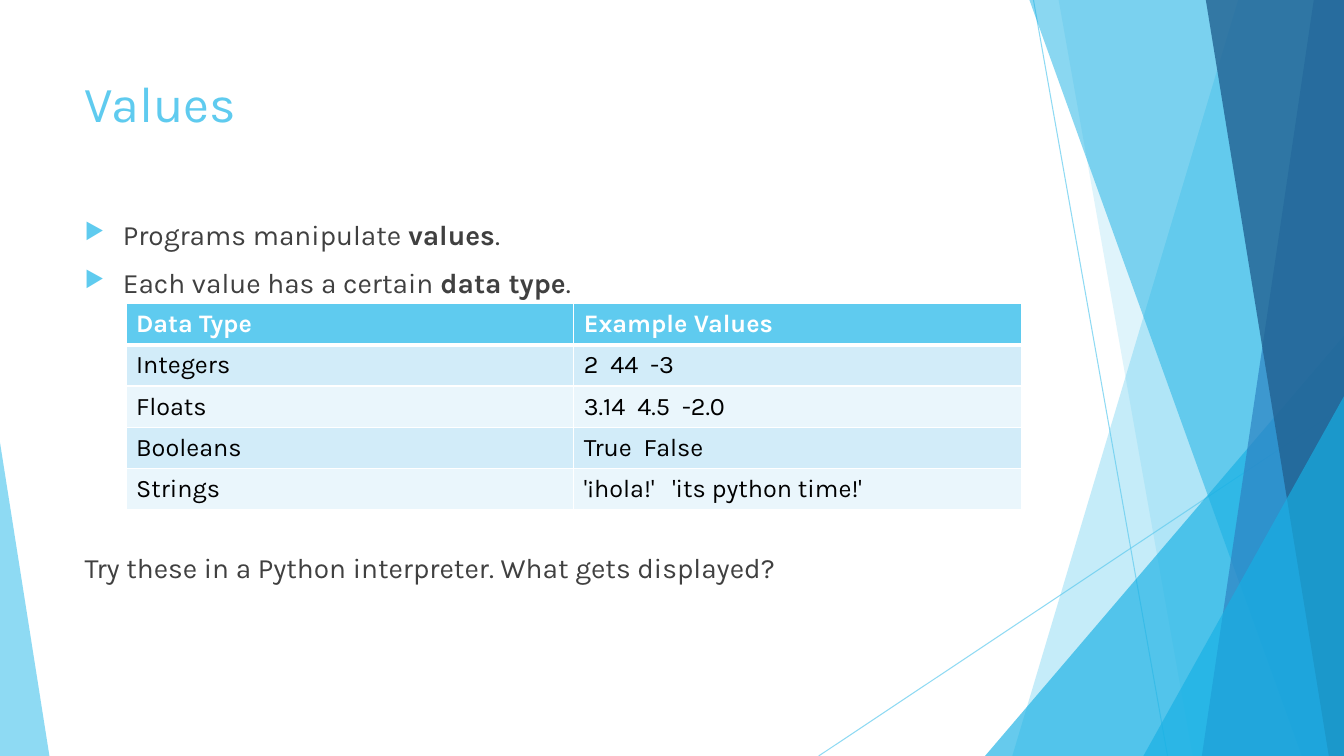
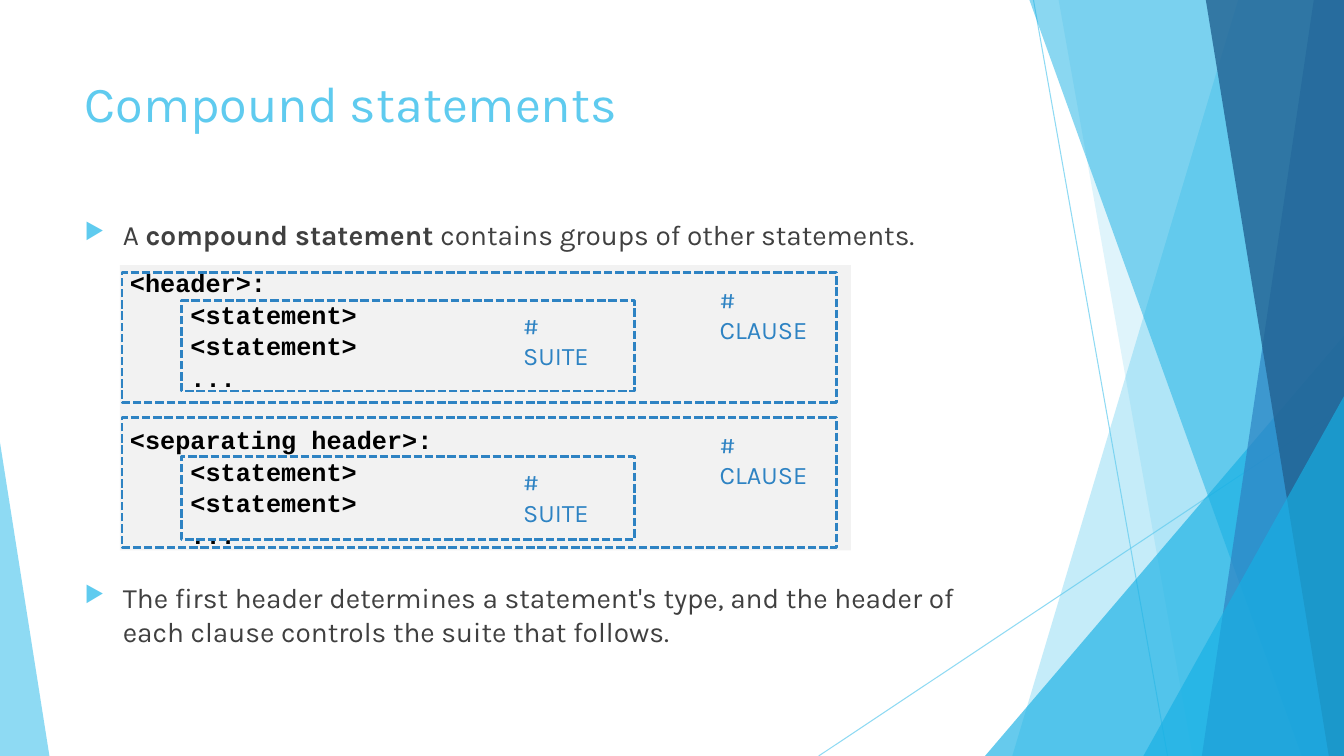
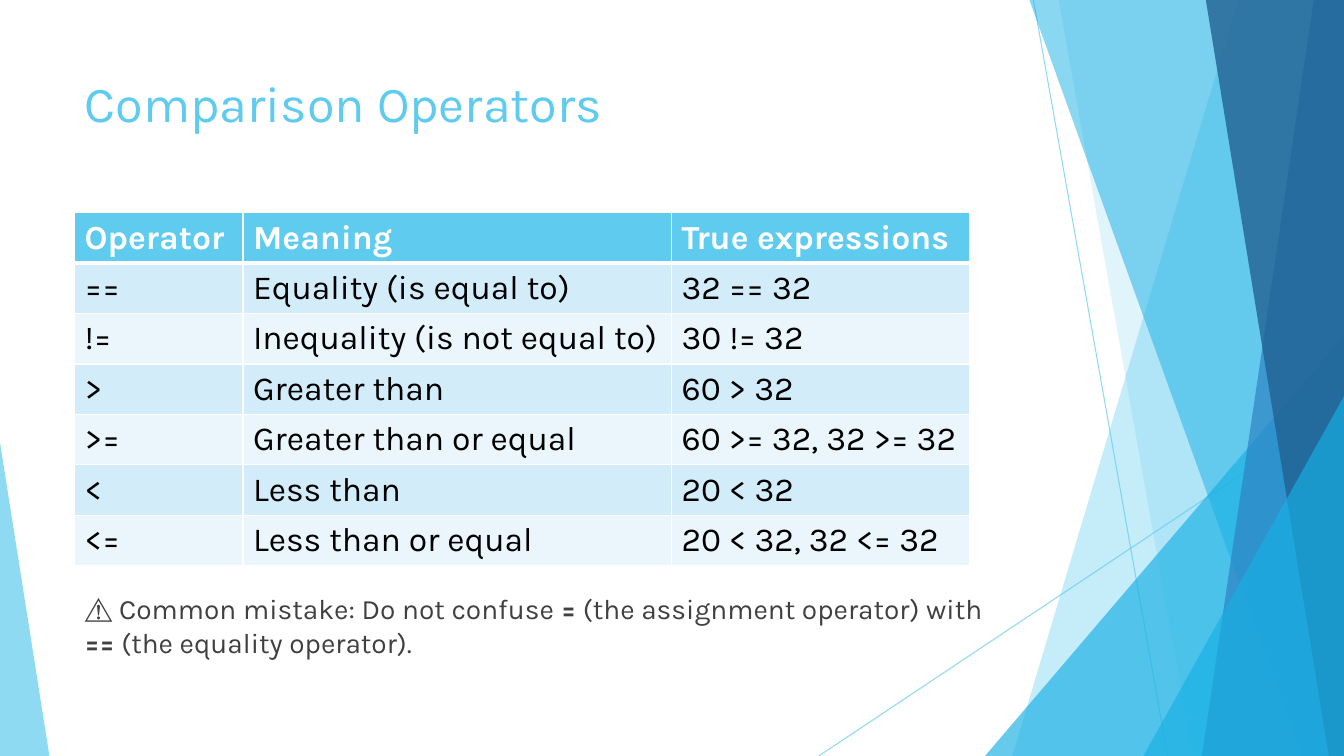
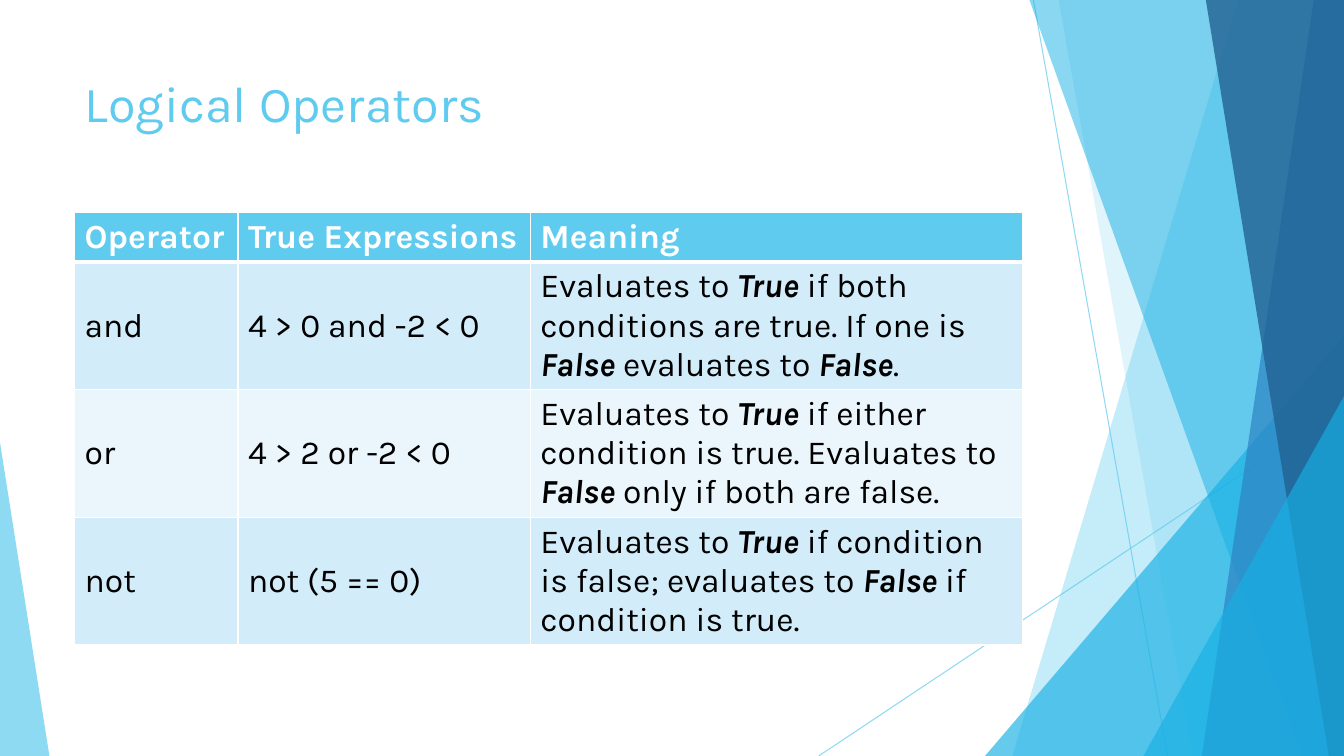
from pptx import Presentation
from pptx import util as u
from pptx.dml.color import RGBColor
from pptx.enum import dml, shapes, text
from pptx.oxml import parse_xml
from pptx.oxml.ns import nsdecls, qn

W, H = 13.33, 7.5
LEFT, WIDE, TOP = 0.74, 9.4, 2.11
SKY = RGBColor(0x5F, 0xCB, 0xEF)
CYAN = RGBColor(0x17, 0xB0, 0xE4)
BLUE = RGBColor(0x2E, 0x83, 0xC3)
NAVY = RGBColor(0x22, 0x62, 0x92)
INK = RGBColor(0x40, 0x40, 0x40)
BLACK = RGBColor(0, 0, 0)
WHITE = RGBColor(0xFF, 0xFF, 0xFF)
GRAY = RGBColor(0xF2, 0xF2, 0xF2)
PALE = RGBColor(0xD2, 0xEC, 0xF9)
MIST = RGBColor(0xEA, 0xF6, 0xFC)
FONT, MONO = "Karla", "Courier New"

TYPES = [
    ["Data Type", "Example Values"],
    ["Integers", "2  44  -3"],
    ["Floats", "3.14  4.5  -2.0"],
    ["Booleans", "True  False"],
    ["Strings", "'¡hola!'   'its python time!'"],
]
COMPARE = [
    ["Operator", "Meaning", "True expressions"],
    ["==", "Equality (is equal to)", "32 == 32"],
    ["!=", "Inequality (is not equal to)", "30 != 32"],
    [">", "Greater than", "60 > 32"],
    [">=", "Greater than or equal", "60 >= 32, 32 >= 32"],
    ["<", "Less than", "20 < 32"],
    ["<=", "Less than or equal", "20 < 32, 32 <= 32"],
]
LOGIC = [
    ["Operator", "True Expressions", "Meaning"],
    ["and", "4 > 0 and -2 < 0",
     "Evaluates to *True* if both conditions are true. If one is *False* evaluates to *False*."],
    ["or", "4 > 2 or -2 < 0",
     "Evaluates to *True* if either condition is true. Evaluates to *False* only if both are false."],
    ["not", "not (5 == 0)",
     "Evaluates to *True* if condition is false; evaluates to *False* if condition is true."],
]


def inch(*sizes):
    """Turn numbers into whole inch lengths."""
    return [u.Inches(size) for size in sizes]


def write(frame, words, size=20, color=INK, font=FONT, bold=False, slant=False,
          bullet=False, indent=0, before=0, pitch=None):
    """Add one paragraph; parts between asterisks are bold, and italic if slant."""
    para = frame.add_paragraph() if frame.text else frame.paragraphs[0]
    para.alignment = text.PP_ALIGN.LEFT
    para.space_before = u.Pt(before)
    if pitch:
        para.line_spacing = pitch
    for spot, part in enumerate(words.split("*")):
        if part:
            run = para.add_run()
            run.text = part
            strong = spot % 2 == 1
            face = run.font
            face.name, face.size = font, u.Pt(size)
            face.color.rgb = color
            face.bold, face.italic = bold or strong, slant and strong
    props = para._p.get_or_add_pPr()
    if bullet:
        indent = 0.38
        props.set("indent", str(-u.Inches(indent)))
        for mark in (f'<a:buClr {nsdecls("a")}><a:srgbClr val="{SKY}"/></a:buClr>',
                     f'<a:buSzPct {nsdecls("a")} val="80000"/>',
                     f'<a:buChar {nsdecls("a")} char="▶"/>'):
            props.append(parse_xml(mark))
    if indent:
        props.set("marL", str(u.Inches(indent)))


def fade(shape, alpha):
    """Set the opacity of a shape's colours in percent."""
    for color in shape.element.iter(qn("a:srgbClr")):
        color.append(parse_xml(f'<a:alpha {nsdecls("a")} val="{alpha * 1000}"/>'))


def paint(shape, color, alpha=100):
    """Give a shape a plain fill with no line or shadow."""
    shape.shadow.inherit = False
    shape.line.fill.background()
    shape.fill.solid()
    shape.fill.fore_color.rgb = color
    if alpha < 100:
        fade(shape, alpha)


def ray(slide, start, end):
    """Draw a thin line of the backdrop."""
    line = slide.shapes.add_connector(shapes.MSO_CONNECTOR.STRAIGHT, *inch(*start, *end))
    line.line.color.rgb = SKY
    line.line.width = u.Pt(0.75)
    line.element.spPr.append(parse_xml(f'<a:effectLst {nsdecls("a")}/>'))
    fade(line, 70)


def band(slide, high, low, color, alpha):
    """Fill the slide from a slanted edge to its right side."""
    path = slide.shapes.build_freeform(*inch(high, 0), scale=1.0)
    path.add_line_segments([inch(W, 0), inch(W, H), inch(low, H)], close=True)
    paint(path.convert_to_shape(), color, alpha)


def wedge(slide, left, wide, tall, tip, color, alpha):
    """Stand a triangle on the bottom edge."""
    shape = slide.shapes.add_shape(shapes.MSO_SHAPE.ISOSCELES_TRIANGLE,
                                   *inch(left, H - tall, wide, tall))
    shape.adjustments[0] = tip
    paint(shape, color, alpha)


def backdrop(slide):
    """Draw the bands that all slides share."""
    ray(slide, (10.25, 0), (11.58, H))
    ray(slide, (W, 4.03), (8.12, H))
    band(slide, 12.28, 10.04, SKY, 36)
    band(slide, 10.5, 11.83, SKY, 20)
    wedge(slide, 9.77, W - 9.77, 4.17, 1, CYAN, 66)
    band(slide, 10.21, 12.91, CYAN, 50)
    band(slide, 13.03, 11.92, BLUE, 70)
    band(slide, 11.96, 13.18, NAVY, 80)
    wedge(slide, 11.34, W - 11.34, 3.57, 1, CYAN, 66)
    wedge(slide, 0, 0.49, 3.11, 0, SKY, 70)


def start(deck, name):
    """Add a slide with its title and backdrop."""
    slide = deck.slides.add_slide(deck.slide_layouts[5])
    title = slide.shapes.title
    title.left, title.top, title.width, title.height = inch(LEFT, 0.67, WIDE, 1.44)
    frame = title.text_frame
    frame.auto_size = text.MSO_AUTO_SIZE.NONE
    frame.vertical_anchor = text.MSO_ANCHOR.TOP
    write(frame, name, size=36, color=SKY)
    backdrop(slide)
    return slide


def prose(slide, box):
    """Add a wrapping text box and return its frame."""
    frame = slide.shapes.add_textbox(*inch(*box)).text_frame
    frame.word_wrap = True
    return frame


def edge(cell, head):
    """Draw white borders, thicker below the header."""
    props = cell._tc.get_or_add_tcPr()
    for side in "LRTB":
        width = u.Pt(3 if head and side == "B" else 1)
        props.append(parse_xml(
            f'<a:ln{side} {nsdecls("a")} w="{width}"><a:solidFill>'
            f'<a:srgbClr val="{WHITE}"/></a:solidFill></a:ln{side}>'))


def grid(slide, box, cols, rows, cells, size):
    """Add a striped table with the given column and row sizes."""
    shape = slide.shapes.add_table(len(rows), len(cols), *inch(*box, sum(cols), sum(rows)))
    table = shape.table
    for col, wide in zip(table.columns, cols):
        col.width = u.Inches(wide)
    for y, (tall, line) in enumerate(zip(rows, cells)):
        table.rows[y].height = u.Inches(tall)
        head = y == 0
        for x, words in enumerate(line):
            cell = table.cell(y, x)
            edge(cell, head)
            cell.fill.solid()
            cell.fill.fore_color.rgb = SKY if head else PALE if y % 2 else MIST
            cell.vertical_anchor = text.MSO_ANCHOR.MIDDLE
            write(cell.text_frame, words, size=size, bold=head, slant=True,
                  color=WHITE if head else BLACK)


def frame_box(slide, box):
    """Draw a dashed outline."""
    shape = slide.shapes.add_shape(shapes.MSO_SHAPE.RECTANGLE, *inch(*box))
    shape.shadow.inherit = False
    shape.fill.background()
    shape.line.color.rgb = BLUE
    shape.line.width = u.Pt(2)
    shape.line.dash_style = dml.MSO_LINE.SQUARE_DOT


def clause(slide, left, top, drop, tall):
    """Outline a clause and the suite inside it, with their labels."""
    frame_box(slide, (left, top, 7.09, 1.29))
    frame_box(slide, (left + 0.59, top + drop, 4.49, tall))
    for words, x, y, wide in (("# CLAUSE", 5.83, 0.07, 1.2),
                              ("# SUITE", 3.88, drop + 0.05, 0.98)):
        write(prose(slide, (left + x, top + y, wide, 0.4)), words, size=18, color=BLUE)


def listing(slide, box):
    """Show the pattern of a compound statement as code."""
    shape = slide.shapes.add_shape(shapes.MSO_SHAPE.RECTANGLE, *inch(*box))
    paint(shape, GRAY)
    frame = shape.text_frame
    frame.vertical_anchor = text.MSO_ANCHOR.MIDDLE
    style = dict(size=18, color=BLACK, font=MONO, bold=True, pitch=1.05)
    for head, gap in (("<header>:", 0), ("<separating header>:", 21.4)):
        write(frame, head, before=gap, **style)
        for words in ("<statement>", "<statement>", "..."):
            write(frame, words, indent=0.6, **style)


def values(deck):
    """Build the slide on values and data types."""
    slide = start(deck, "Values")
    frame = prose(slide, (LEFT, TOP, WIDE, 4.5))
    write(frame, "Programs manipulate *values*.", bullet=True, before=10)
    write(frame, "Each value has a certain *data type*.", bullet=True, before=10)
    write(frame, "Try these in a Python interpreter. What gets displayed?", before=180)
    grid(slide, (1.25, 3.01), [4.44] * 2, [0.41] * 5, TYPES, 18)


def compound(deck):
    """Build the slide on compound statements."""
    slide = start(deck, "Compound statements")
    write(prose(slide, (LEFT, TOP, WIDE, 0.52)),
          "A *compound statement* contains groups of other statements.",
          bullet=True, before=10)
    listing(slide, (1.19, 2.63, 7.25, 2.83))
    clause(slide, 1.21, 2.7, 0.28, 0.9)
    clause(slide, 1.21, 4.14, 0.39, 0.82)
    write(prose(slide, (LEFT, 5.71, WIDE, 1.31)),
          "The first header determines a statement's type, and the header of each "
          "clause controls the suite that follows.", bullet=True, before=10)


def compare(deck):
    """Build the slide on comparison operators."""
    slide = start(deck, "Comparison Operators")
    write(prose(slide, (LEFT, 5.82, WIDE, 0.8)),
          "⚠️ Common mistake: Do not confuse *=* (the assignment operator) with "
          "*==* (the equality operator).", before=10)
    grid(slide, (LEFT, TOP), [1.67, 4.25, 2.96], [0.49] * 7, COMPARE, 24)


def logic(deck):
    """Build the slide on logical operators."""
    slide = start(deck, "Logical Operators")
    grid(slide, (LEFT, TOP), [1.62, 2.9, 4.88], [0.49] + [1.26] * 3, LOGIC, 24)


def main():
    """Build and save the deck."""
    deck = Presentation()
    deck.slide_width, deck.slide_height = inch(W, H)
    for build in (values, compound, compare, logic):
        build(deck)
    deck.save("out.pptx")


if __name__ == "__main__":
    main()
